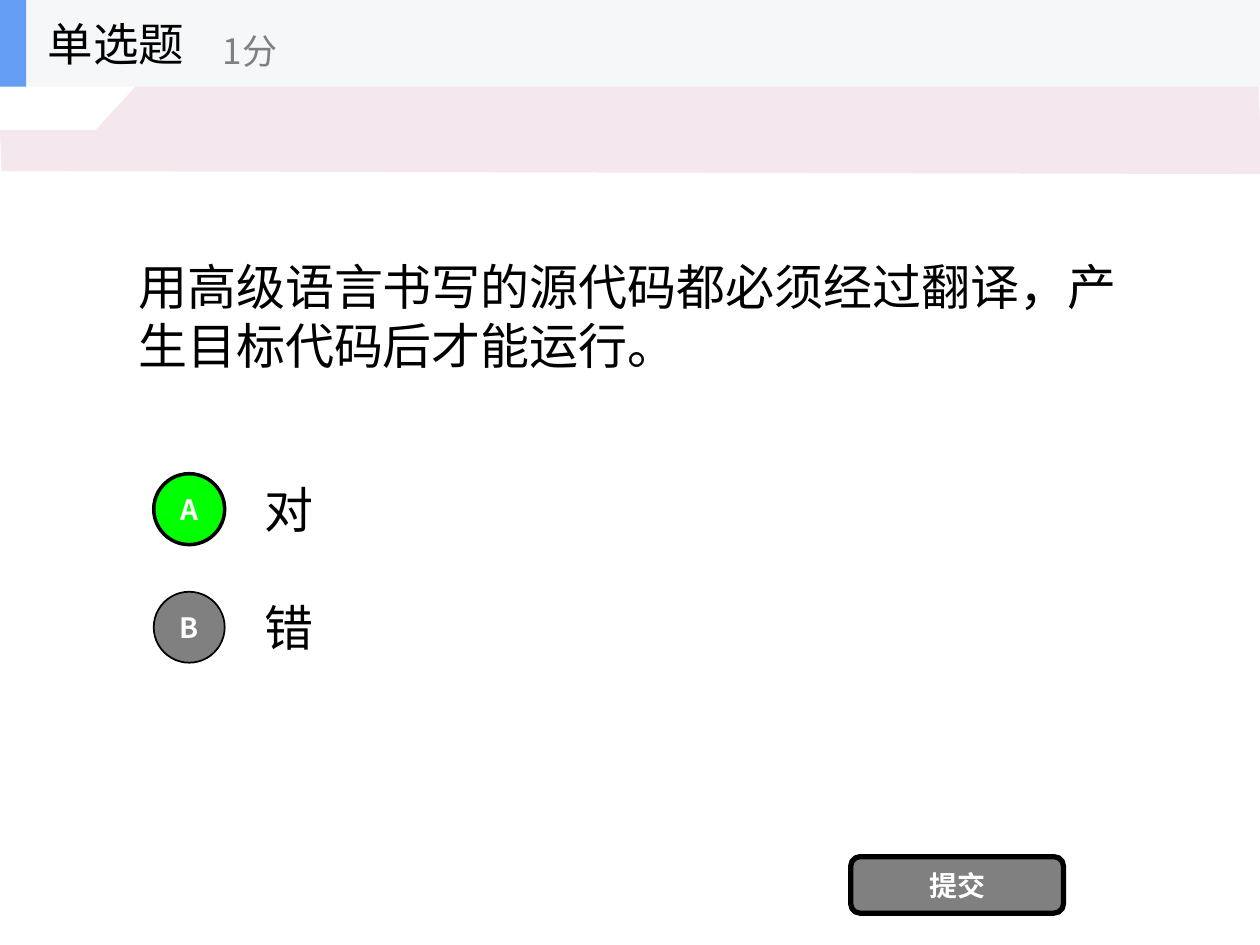
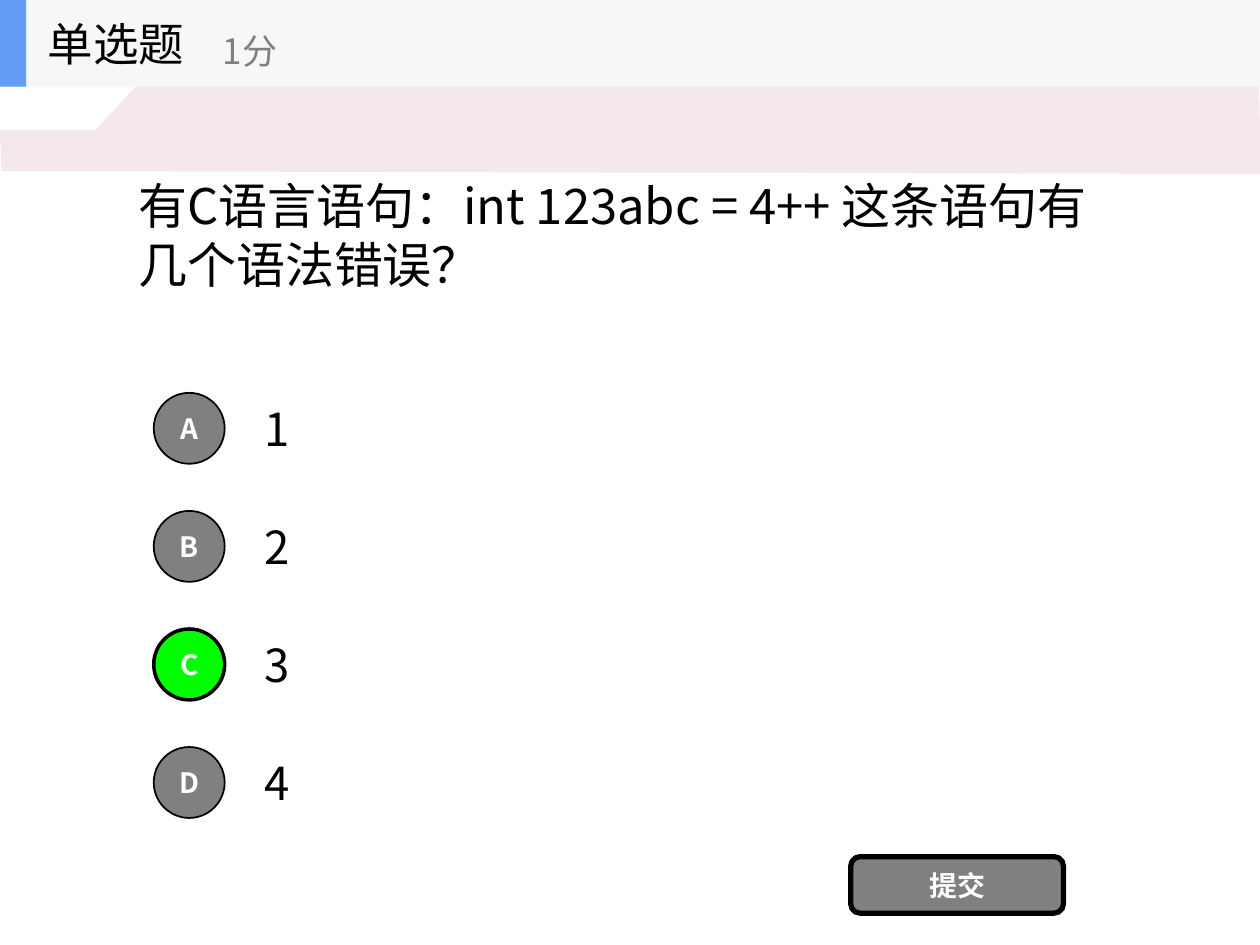
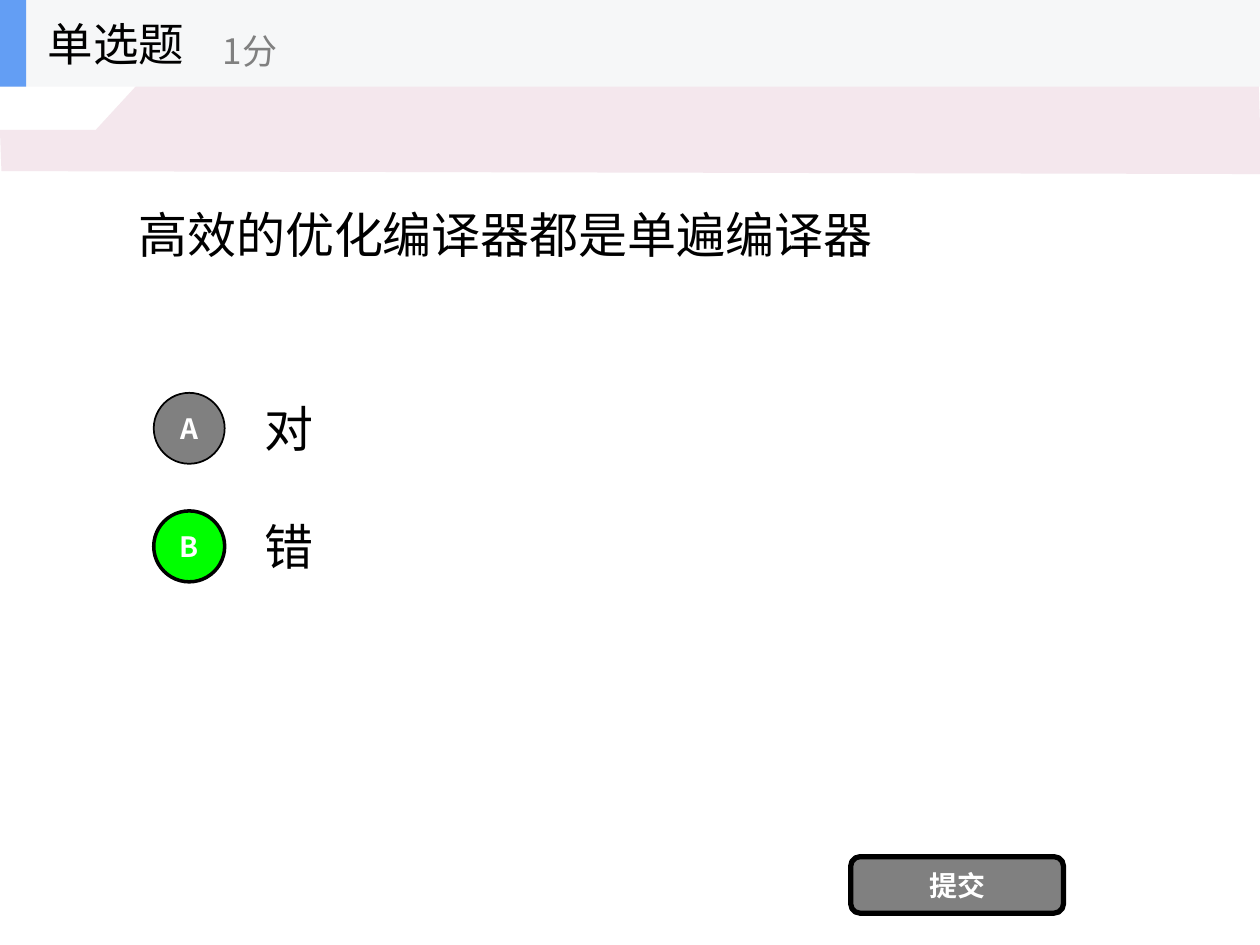
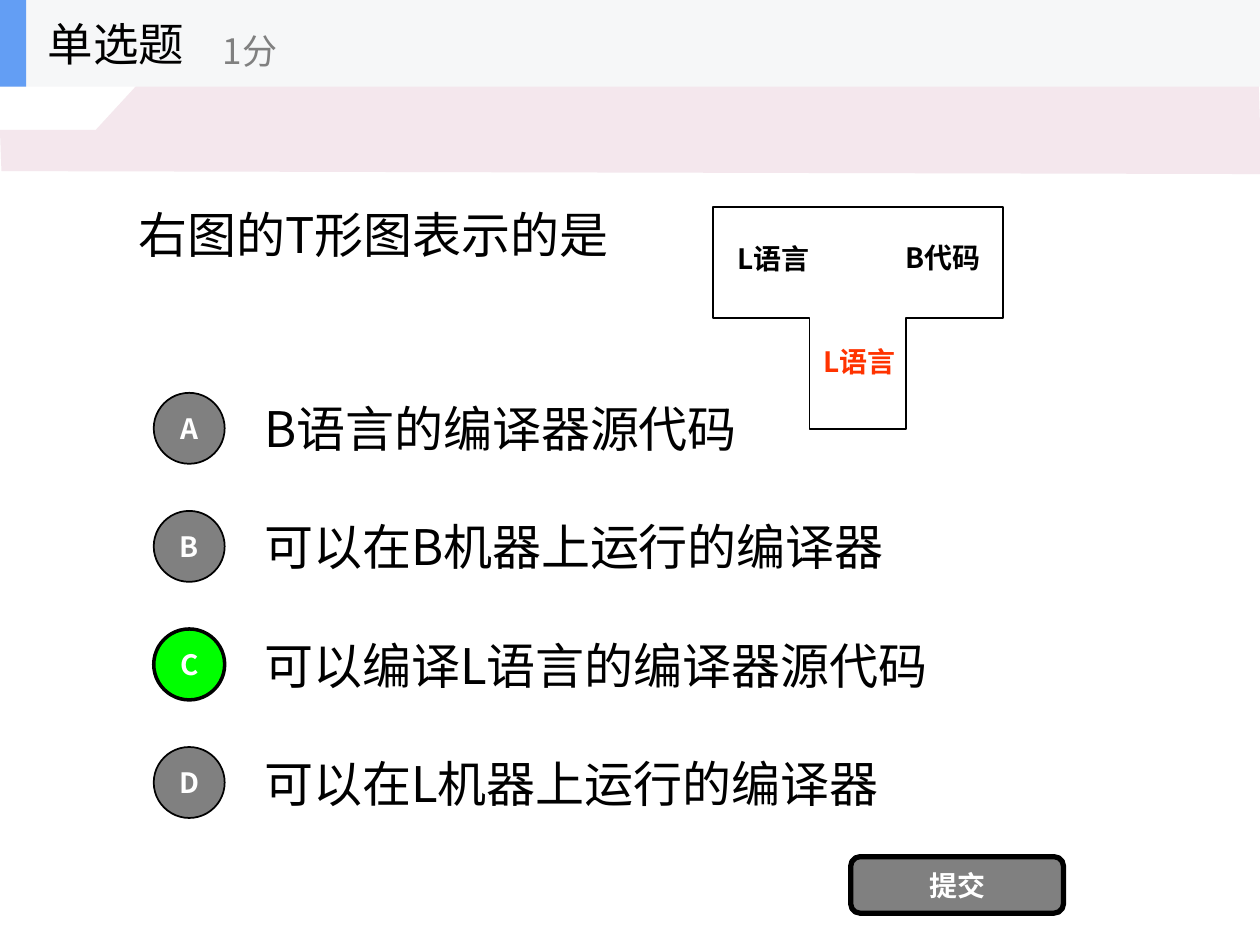
"""Build a four-slide single-choice quiz on compilers."""
from dataclasses import dataclass

import lxml.etree
import pptx
import pptx.dml.color
import pptx.enum.shapes
import pptx.enum.text
import pptx.oxml.ns
import pptx.util

Cm = pptx.util.Cm
Pt = pptx.util.Pt
qn = pptx.oxml.ns.qn
SHAPE = pptx.enum.shapes.MSO_SHAPE
ALIGN = pptx.enum.text.PP_ALIGN

HEADING = "单选题"
POINTS = "1分"
SUBMIT = "提交"

QUESTIONS = [
    {"text": "用高级语言书写的源代码都必须经过翻译，产生目标代码后才能运行。",
     "options": ["对", "错"], "answer": "A", "top": 3.38},
    {"text": "有C语言语句：int 123abc = 4++ 这条语句有几个语法错误？",
     "options": ["1", "2", "3", "4"], "answer": "C", "option_size": 26},
    {"text": "高效的优化编译器都是单遍编译器",
     "options": ["对", "错"], "answer": "B"},
    {"text": "右图的T形图表示的是",
     "options": ["B语言的编译器源代码", "可以在B机器上运行的编译器",
                 "可以编译L语言的编译器源代码", "可以在L机器上运行的编译器"],
     "answer": "C",
     "diagram": [("B代码", "black", (18.14, 4.52, 1.75, 1.32)),
                 ("L语言", "red", (16.48, 6.27, 1.68, 2.01)),
                 ("L语言", "black", (14.76, 4.24, 1.68, 1.93))]},
]


@dataclass(frozen=True)
class Theme:
    font: str = "Noto Sans CJK SC"
    black: str = "000000"
    white: str = "FFFFFF"
    grey: str = "808080"
    green: str = "00FF00"
    red: str = "FF3300"
    blue: str = "639EF4"
    header: str = "F6F7F8"
    band: str = "F4E7ED"
    body_size: int = 28
    heading_size: int = 26
    points_size: int = 20
    label_size: int = 16


THEME = Theme()

PAGE_WIDTH, PAGE_HEIGHT = 25.4, 19.05
HEADER_HEIGHT = 1.75
BAND = [(0, 2.62), (1.93, 2.62), (3.43, 0.99), (9.53, 0.99),
        (9.98, 1.52), (25.37, 1.5), (25.43, 3.51), (0.03, 3.45)]
QUESTION_LEFT, QUESTION_WIDTH, QUESTION_HEIGHT = 2.54, 20.32, 5.95
OPTION_LEFT, OPTION_WIDTH, OPTION_HEIGHT = 5.08, 17.78, 1.79
OPTION_GAP, OPTION_PITCH = 0.04, 2.38
CIRCLE_LEFT, CIRCLE_SIZE = 3.1, 1.43
BUTTON = (17.15, 17.27, 4.29, 1.14)
T_LEFT, T_TOP, T_ARM, T_BAR = 14.37, 4.17, 1.95, 2.24


def color(value):
    return pptx.dml.color.RGBColor.from_string(value)


def write(box, text, size, ink, bold=False, align=ALIGN.LEFT, wrap=True):
    frame = box.text_frame
    frame.word_wrap = wrap
    frame.vertical_anchor = pptx.enum.text.MSO_ANCHOR.MIDDLE
    para = frame.paragraphs[0]
    para.text = text
    para.alignment = align
    para.font.size = Pt(size)
    para.font.bold = bold
    para.font.name = THEME.font
    para.font.color.rgb = color(ink)
    for defaults in box.element.iter(qn("a:defRPr")):
        lxml.etree.SubElement(defaults, qn("a:ea"), typeface=THEME.font)


def paint(shape, fill, line_width=0):
    shape.shadow.inherit = False
    shape.fill.solid()
    shape.fill.fore_color.rgb = color(fill)
    if line_width:
        shape.line.color.rgb = color(THEME.black)
        shape.line.width = Pt(line_width)
    else:
        shape.line.fill.background()


def add_text(shapes, place, text, size, ink=THEME.black, wrap=True):
    box = shapes.add_textbox(*map(Cm, place))
    write(box, text, size, ink, wrap=wrap)


def add_shape(shapes, kind, place, fill, line_width=0):
    shape = shapes.add_shape(kind, *map(Cm, place))
    paint(shape, fill, line_width)
    return shape


def add_outline(shapes, points, fill, line_width=0):
    corners = [(Cm(x), Cm(y)) for x, y in points]
    builder = shapes.build_freeform(*corners[0])
    builder.add_line_segments(corners[1:], close=True)
    outline = builder.convert_to_shape()
    paint(outline, fill, line_width)
    return outline


def add_button(shapes, kind, place, text, fill, line_width):
    button = add_shape(shapes, kind, place, fill, line_width)
    write(button, text, THEME.label_size, THEME.white, True, ALIGN.CENTER)


def add_header(page):
    shapes = page.shapes.add_group_shape().shapes
    for width, fill in ((PAGE_WIDTH, THEME.header), (0.53, THEME.blue)):
        add_shape(shapes, SHAPE.RECTANGLE, (0, 0, width, HEADER_HEIGHT), fill)
    add_text(shapes, (0.71, 0, 5.28, HEADER_HEIGHT), HEADING,
             THEME.heading_size, wrap=False)
    add_text(shapes, (4.24, 0.31, 6.35, 1.43), POINTS,
             THEME.points_size, THEME.grey, wrap=False)


def add_t_diagram(page, labels):
    shapes = page.shapes.add_group_shape().shapes
    x0, x1, x2, x3 = (T_LEFT + T_ARM * step for step in range(4))
    y0, y1, y2 = (T_TOP + T_BAR * step for step in range(3))
    corners = [(x0, y0), (x3, y0), (x3, y1), (x2, y1),
               (x2, y2), (x1, y2), (x1, y1), (x0, y1)]
    add_outline(shapes, corners, THEME.white, 1)
    for text, ink, place in labels:
        label = add_shape(shapes, SHAPE.RECTANGLE, place, THEME.white)
        label.text_frame.margin_left = label.text_frame.margin_right = 0
        write(label, text, THEME.label_size, getattr(THEME, ink), True,
              ALIGN.CENTER, wrap=False)


def add_question(page, question):
    top = question.get("top", HEADER_HEIGHT)
    size = question.get("option_size", THEME.body_size)
    options = question["options"]
    first_row = top + QUESTION_HEIGHT + OPTION_GAP
    rows = [first_row + OPTION_PITCH * index for index in range(len(options))]
    inset = (OPTION_HEIGHT - CIRCLE_SIZE) / 2
    add_text(page.shapes, (QUESTION_LEFT, top, QUESTION_WIDTH, QUESTION_HEIGHT),
             question["text"], THEME.body_size)
    for row, option in zip(rows, options):
        add_text(page.shapes, (OPTION_LEFT, row, OPTION_WIDTH, OPTION_HEIGHT),
                 option, size)
    for row, letter in zip(rows, "ABCD"):
        fill, line = (THEME.green, 2) if letter == question["answer"] else (THEME.grey, 1)
        place = (CIRCLE_LEFT, row + inset, CIRCLE_SIZE, CIRCLE_SIZE)
        add_button(page.shapes, SHAPE.OVAL, place, letter, fill, line)
    add_button(page.shapes, SHAPE.ROUNDED_RECTANGLE, BUTTON, SUBMIT, THEME.grey, 3)
    if "diagram" in question:
        add_t_diagram(page, question["diagram"])


def main():
    deck = pptx.Presentation()
    deck.slide_width, deck.slide_height = Cm(PAGE_WIDTH), Cm(PAGE_HEIGHT)
    blank = deck.slide_layouts[6]
    pages = [deck.slides.add_slide(blank) for _ in QUESTIONS]
    band = add_outline(pages[0].shapes, BAND, THEME.band)
    blank.element.cSld.spTree.append(band.element)
    for page, question in zip(pages, QUESTIONS):
        add_question(page, question)
        add_header(page)
    deck.save("out.pptx")


if __name__ == "__main__":
    main()
